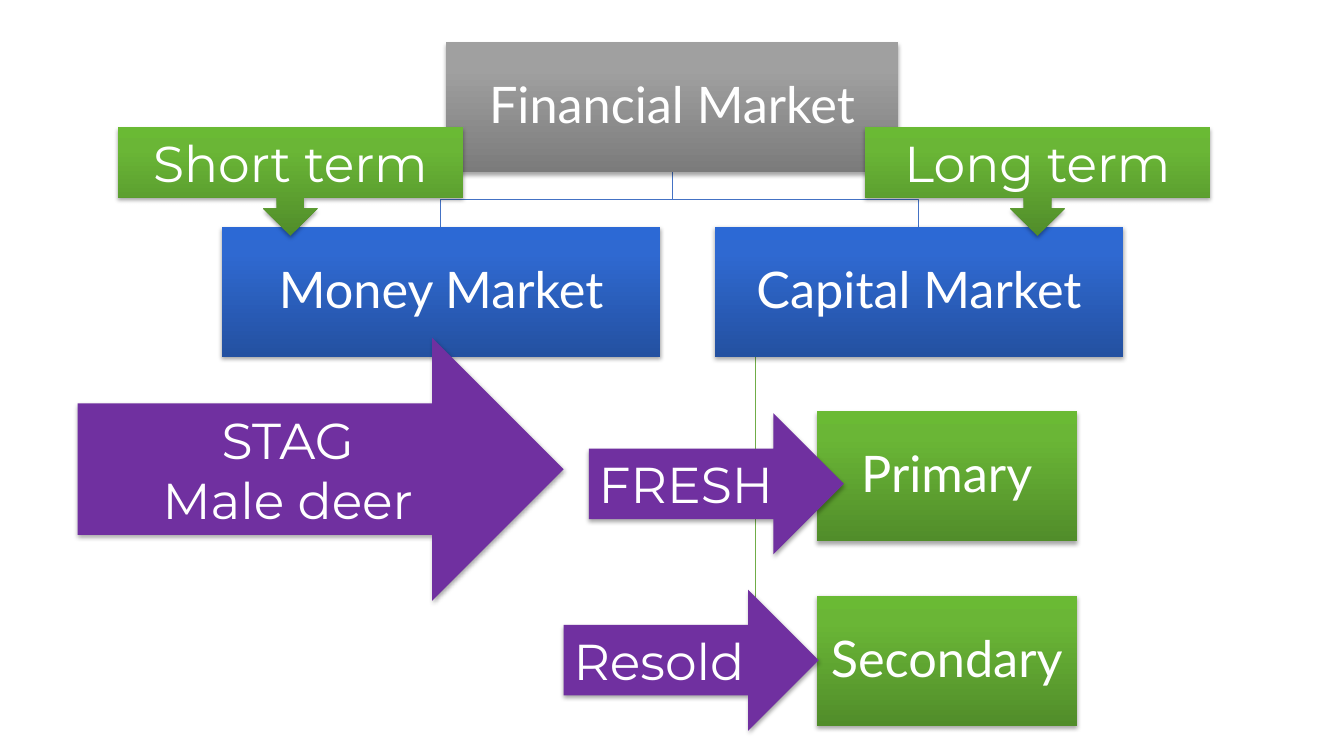
from copy import deepcopy
from dataclasses import dataclass

from pptx import Presentation
from pptx.dml.color import RGBColor
from pptx.enum.shapes import MSO_SHAPE
from pptx.enum.text import MSO_ANCHOR, PP_ALIGN
from pptx.oxml import parse_xml
from pptx.oxml.ns import nsdecls, qn
from pptx.util import Pt

RECTANGLE = MSO_SHAPE.RECTANGLE
RIGHT_ARROW = MSO_SHAPE.RIGHT_ARROW
CALLOUT = MSO_SHAPE.DOWN_ARROW_CALLOUT
CENTER = PP_ALIGN.CENTER
LEFT = PP_ALIGN.LEFT
MIDDLE = MSO_ANCHOR.MIDDLE
BLANK_LAYOUT = 6
PX = 9144


@dataclass(frozen=True)
class Theme:
    gray: tuple = ("7B7B7B", "A0A0A0", "A1A1A1")
    blue: tuple = ("2451A1", "2F69D1", "2C69D5")
    green: tuple = ("518D2A", "6AB636", "6ABA34")
    purple: str = "7030A0"
    text: str = "FFFFFF"
    blue_line: str = "4472C4"
    green_line: str = "70AD47"
    line_width: float = 0.75
    size: int = 36
    box_font: str = "Lato"
    note_font: str = "Montserrat"
    stops: tuple = (0, 0.8, 1)


THEME = Theme()


def paint_gradient(shape, colors):
    shape.fill.gradient()
    shape.fill.gradient_angle = 90
    first = shape.element.spPr.find(".//" + qn("a:gs"))
    first.addnext(deepcopy(first))
    for stop, color, position in zip(shape.fill.gradient_stops, colors, THEME.stops):
        stop.color.rgb = RGBColor.from_string(color)
        stop.position = position


def paint_solid(shape, color):
    shape.fill.solid()
    shape.fill.fore_color.rgb = RGBColor.from_string(color)


def add_shadow(shape):
    shape.shadow.inherit = False
    effects = shape.element.spPr.find(qn("a:effectLst"))
    effects.append(parse_xml(
        f'<a:outerShdw {nsdecls("a")} blurRad="40000" dist="23000" dir="5400000" rotWithShape="0">'
        '<a:srgbClr val="000000"><a:alpha val="35000"/></a:srgbClr></a:outerShdw>'
    ))


def write_text(shape, text, font, align=CENTER, spacing=None, inset=None):
    frame = shape.text_frame
    frame.word_wrap = True
    frame.vertical_anchor = MIDDLE
    if inset is not None:
        frame.margin_left = frame.margin_right = inset * PX
        frame.margin_top = frame.margin_bottom = inset * PX
    frame.text = text
    for para in frame.paragraphs:
        para.alignment = align
        para.line_spacing = spacing
        for span in para.runs:
            span.font.name = font
            span.font.size = Pt(THEME.size)
            span.font.color.rgb = RGBColor.from_string(THEME.text)


def add_block(page, kind, left, top, width, height):
    shape = page.shapes.add_shape(kind, left * PX, top * PX, width * PX, height * PX)
    shape.line.fill.background()
    add_shadow(shape)
    return shape


def add_market(page, text, left, top, width, colors):
    box = add_block(page, RECTANGLE, left, top, width, 129)
    paint_gradient(box, colors)
    write_text(box, text, THEME.box_font, spacing=0.9, inset=3)


def add_term(page, text, left):
    callout = add_block(page, CALLOUT, left, 126, 342, 108)
    paint_gradient(callout, THEME.green)
    write_text(callout, text, THEME.note_font)


def add_arrow(page, text, left, top, width=253, height=140, align=LEFT):
    arrow = add_block(page, RIGHT_ARROW, left, top, width, height)
    paint_solid(arrow, THEME.purple)
    write_text(arrow, text, THEME.note_font, align=align)


def add_branch(page, points, color):
    builder = page.shapes.build_freeform(*points[0], scale=PX)
    builder.add_line_segments(points[1:], close=False)
    branch = builder.convert_to_shape()
    branch.fill.background()
    branch.line.color.rgb = RGBColor.from_string(color)
    branch.line.width = Pt(THEME.line_width)
    branch.shadow.inherit = False


def main():
    deck = Presentation()
    deck.slide_width = 1333 * PX
    deck.slide_height = 750 * PX
    page = deck.slides.add_slide(deck.slide_layouts[BLANK_LAYOUT])

    for y in (655, 472):
        add_branch(page, [(749, 354), (749, y), (810, y)], THEME.green_line)
    for x in (911, 437):
        add_branch(page, [(667, 171), (667, 198), (x, 198), (x, 225)], THEME.blue_line)

    add_market(page, "Financial Market", 442, 42, 449, THEME.gray)
    add_market(page, "Money Market", 220, 225, 435, THEME.blue)
    add_market(page, "Capital Market", 709, 225, 405, THEME.blue)
    add_market(page, "Primary", 810, 408, 258, THEME.green)
    add_market(page, "Secondary", 810, 591, 258, THEME.green)

    add_arrow(page, "FRESH", 584, 410)
    add_term(page, "Short term", 117)
    add_term(page, "Long term", 858)
    add_arrow(page, "Resold", 559, 585)
    add_arrow(page, "STAG\nMale deer", 77, 335, width=482, height=261, align=CENTER)

    deck.save("out.pptx")


if __name__ == "__main__":
    main()
